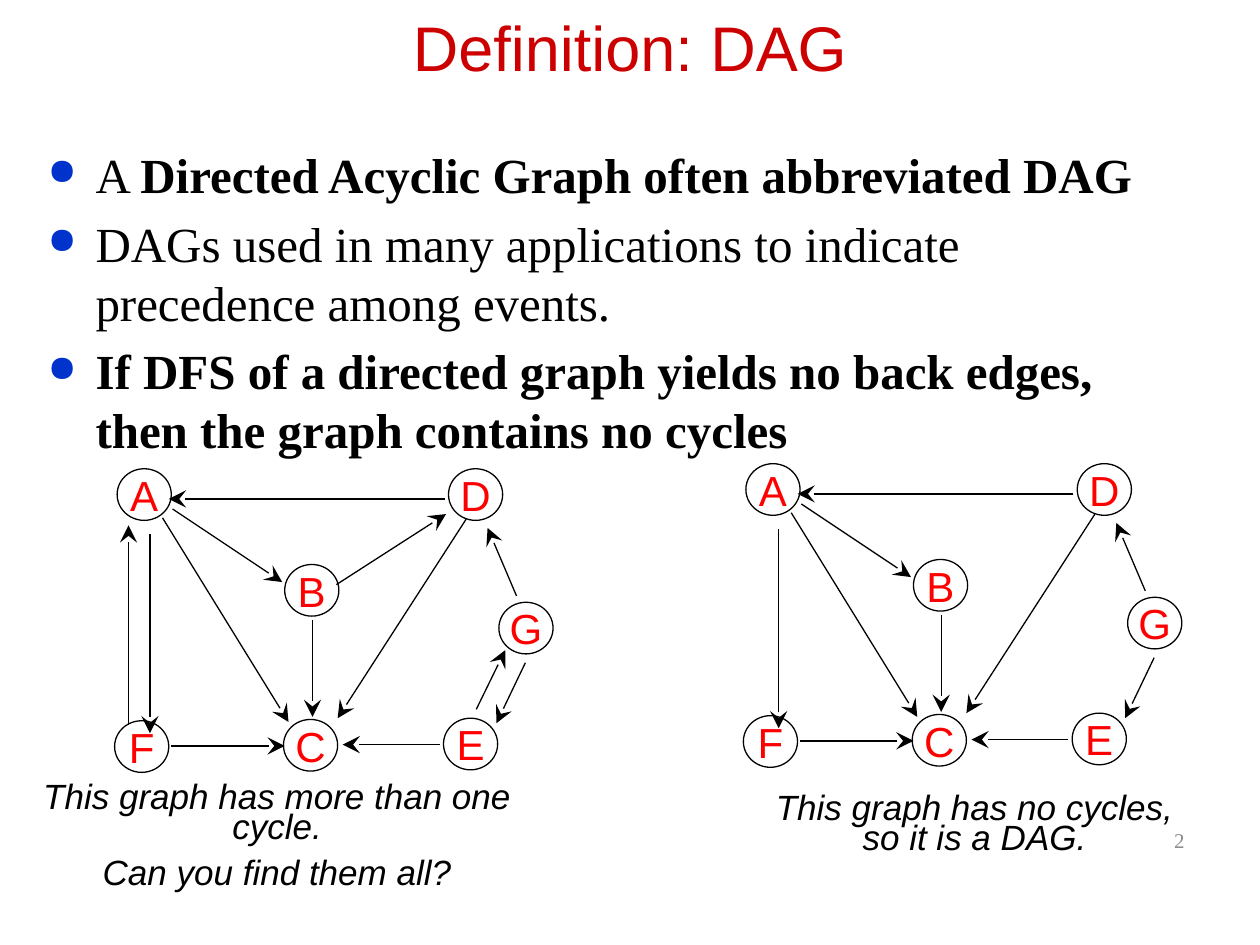
from lxml import etree
from pptx import Presentation
from pptx.dml.color import RGBColor
from pptx.enum import shapes, text
from pptx.oxml.ns import qn
from pptx.util import Inches, Pt

COLORS = {"title": "CC0000", "bullet": "0033CC", "label": "FF0000",
          "black": "000000", "white": "FFFFFF", "number": "8C8C8C"}
LEFT, CENTER, RIGHT = (text.PP_ALIGN.LEFT, text.PP_ALIGN.CENTER,
                       text.PP_ALIGN.RIGHT)
TOP, MIDDLE = text.MSO_ANCHOR.TOP, text.MSO_ANCHOR.MIDDLE

NODE_SIZE = (0.43, 0.41)
NODES = {"A": (0.93, 3.72), "B": (2.26, 4.48), "C": (2.25, 5.71),
         "D": (3.56, 3.72), "E": (3.52, 5.7), "F": (0.91, 5.72),
         "G": (3.96, 4.78)}
# Edges found in both graphs, as (x1, y1, x2, y2)
SHARED_EDGES = [
    (1.19, 4.24, 1.19, 5.82),  # A to F
    (3.53, 3.96, 1.34, 3.96),  # D to A
    (3.7, 4.12, 2.68, 5.7),    # D to C
    (1.36, 5.92, 2.26, 5.92),  # F to C
    (3.49, 5.91, 2.72, 5.91),  # E to C
    (1.29, 4.11, 2.29, 5.73),  # A to C
    (1.37, 4.04, 2.24, 4.62),  # A to B
    (2.48, 4.92, 2.48, 5.69),  # B to C
    (4.17, 5.26, 3.94, 5.74),  # G to E
    (4.1, 4.73, 3.87, 4.19),   # G to D
]
# Edges that close cycles in the left graph
CYCLE_EDGES = [
    (1.02, 5.75, 1.02, 4.17),  # F to A
    (2.67, 4.64, 3.54, 4.08),  # B to D
    (3.78, 5.63, 4.01, 5.16),  # E to G
]
DAG_SHIFT = (4.99, -0.04)

BULLETS = [
    [("A ", False), ("Directed Acyclic Graph often abbreviated DAG", True)],
    [("DAGs used in many applications to indicate precedence among events.",
      False)],
    [("If DFS of a directed graph yields no back edges, "
      "then the graph contains no cycles", True)],
]


def rgb(name):
    return RGBColor.from_string(COLORS[name])


def add_bullet(paragraph):
    props = paragraph._p.get_or_add_pPr()
    props.set("marL", str(Inches(0.38)))
    props.set("indent", str(-Inches(0.38)))
    color = etree.SubElement(props, qn("a:buClr"))
    etree.SubElement(color, qn("a:srgbClr"), val=COLORS["bullet"])
    etree.SubElement(props, qn("a:buSzPct"), val="75000")
    etree.SubElement(props, qn("a:buChar"), char="●")


def write(frame, paragraphs, size, color="black", font="Arial", align=LEFT,
          anchor=TOP, italic=False, bullet=False, spacing=None, before=0,
          wrap=True):
    """Fill a text frame; each paragraph is a list of (text, bold) runs."""
    frame.word_wrap = wrap
    frame.vertical_anchor = anchor
    for i, runs in enumerate(paragraphs):
        paragraph = frame.paragraphs[0] if i == 0 else frame.add_paragraph()
        if bullet:
            add_bullet(paragraph)
        paragraph.alignment = align
        if spacing:
            paragraph.line_spacing = spacing
        if i:
            paragraph.space_before = Pt(before)
        for content, bold in runs:
            run = paragraph.add_run()
            run.text = content
            run.font.size, run.font.name = Pt(size), font
            run.font.bold, run.font.italic = bold, italic
            run.font.color.rgb = rgb(color)


def add_text(slide, box, paragraphs, size, right_inset=0.1, **style):
    frame = slide.shapes.add_textbox(*map(Inches, box)).text_frame
    frame.margin_right = Inches(right_inset)
    write(frame, paragraphs, size, **style)


def add_node(group, label, x, y):
    node = group.shapes.add_shape(shapes.MSO_SHAPE.OVAL,
                                  *map(Inches, (x, y, *NODE_SIZE)))
    node.shadow.inherit = False
    node.fill.solid()
    node.fill.fore_color.rgb = rgb("white")
    node.line.color.rgb = rgb("black")
    node.line.width = Pt(0.75)
    write(node.text_frame, [[(label, False)]], 24, color="label",
          align=CENTER, anchor=MIDDLE, wrap=False)


def add_edge(group, x1, y1, x2, y2):
    edge = group.shapes.add_connector(shapes.MSO_CONNECTOR.STRAIGHT,
                                      *map(Inches, (x1, y1, x2, y2)))
    edge.line.color.rgb = rgb("black")
    edge.line.width = Pt(0.75)
    etree.SubElement(edge.line._get_or_add_ln(), qn("a:tailEnd"),
                     type="stealth", w="lg", len="lg")
    etree.SubElement(edge._element.spPr, qn("a:effectLst"))


def add_graph(slide, edges, shift=(0, 0)):
    group = slide.shapes.add_group_shape()
    dx, dy = shift
    for label, (x, y) in NODES.items():
        add_node(group, label, x + dx, y + dy)
    for x1, y1, x2, y2 in edges:
        add_edge(group, x1 + dx, y1 + dy, x2 + dx, y2 + dy)


def main():
    prs = Presentation()
    prs.slide_width, prs.slide_height = Inches(10), Inches(7.5)
    slide = prs.slides.add_slide(prs.slide_layouts[5])

    # Title
    title = slide.shapes.title
    title.left, title.top = Inches(0.5), Inches(0.11)
    title.width, title.height = Inches(9), Inches(0.51)
    write(title.text_frame, [[("Definition: DAG", False)]], 36,
          color="title", align=CENTER, anchor=MIDDLE)

    # Definition
    add_text(slide, (0.28, 1.1, 9.19, 4.5), BULLETS, 28,
             font="Times New Roman", bullet=True, before=5.6)

    # Graphs with their captions
    caption = dict(align=CENTER, italic=True, spacing=0.7, before=10)
    add_graph(slide, SHARED_EDGES + CYCLE_EDGES)
    add_text(slide, (0.24, 6.19, 4.69, 0.73),
             [[("This graph has more than one cycle.", False)],
              [("Can you find them all?", False)]],
             20, right_inset=0.87, **caption)
    add_graph(slide, SHARED_EDGES, DAG_SHIFT)
    add_text(slide, (5.91, 6.28, 3.65, 0.57),
             [[("This graph has no cycles, so it is a DAG.", False)]],
             20, **caption)

    # Slide number
    add_text(slide, (7.17, 6.47, 2.33, 0.4), [[("2", False)]], 12,
             color="number", font="Times New Roman", align=RIGHT,
             anchor=MIDDLE)
    prs.save("out.pptx")


if __name__ == "__main__":
    main()
